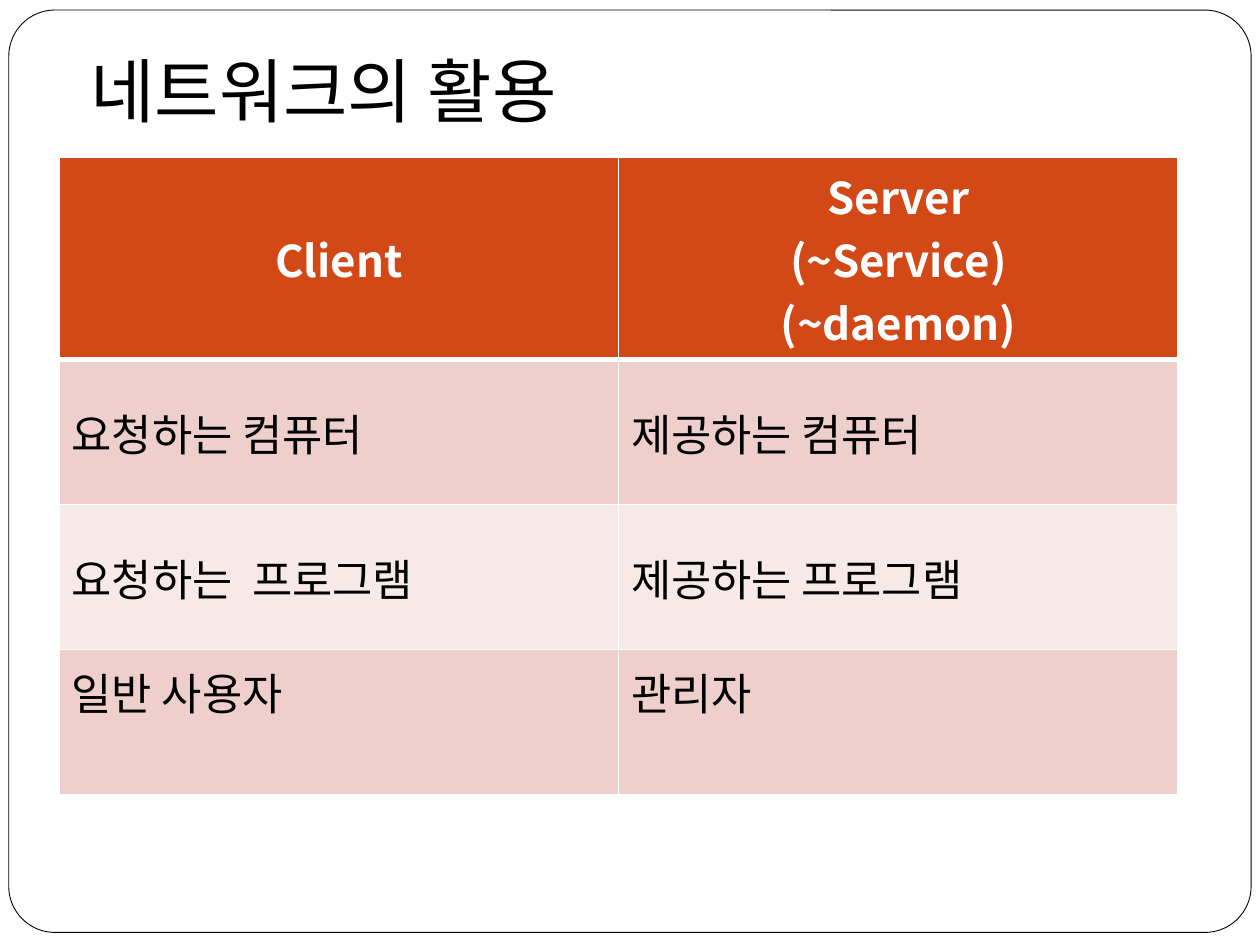
"""Build a slide that compares client and server in a table."""
import lxml.etree
import pptx
import pptx.dml.color
import pptx.enum.shapes
import pptx.enum.text
import pptx.oxml.ns
import pptx.util

Inches = pptx.util.Inches
Pt = pptx.util.Pt
qn = pptx.oxml.ns.qn
Align = pptx.enum.text.PP_ALIGN
Anchor = pptx.enum.text.MSO_ANCHOR

THEME = {
    "font": "Noto Sans CJK KR",
    "title_size": 40,
    "cell_size": 25,
    "white": "FFFFFF",
    "black": "000000",
    "header": "D34817",
    "bands": ["EFCFCC", "F7E9E8"],
}
ROWS = [
    ["Client", "Server\n(~Service)\n(~daemon)"],
    ["요청하는 컴퓨터", "제공하는 컴퓨터"],
    ["요청하는  프로그램", "제공하는 프로그램"],
    ["일반 사용자", "관리자"],
]


def style_text(frame, size, color, bold=False, align=Align.LEFT):
    for paragraph in frame.paragraphs:
        paragraph.alignment = align
        for run in paragraph.runs:
            run.font.name = THEME["font"]
            run.font.size = Pt(size)
            run.font.bold = bold
            run.font.color.rgb = pptx.dml.color.RGBColor.from_string(color)
            east_asian = lxml.etree.SubElement(run.font._element, qn("a:ea"))
            east_asian.set("typeface", THEME["font"])


def set_borders(cell, widths):
    properties = cell._tc.get_or_add_tcPr()
    for position, (side, width) in enumerate(widths.items()):
        border = lxml.etree.Element(qn(f"a:{side}"), w=str(Pt(width)))
        solid = lxml.etree.SubElement(border, qn("a:solidFill"))
        lxml.etree.SubElement(solid, qn("a:srgbClr"), val=THEME["white"])
        properties.insert(position, border)


presentation = pptx.Presentation()
presentation.slide_width = Inches(10)
presentation.slide_height = Inches(7.5)
slide = presentation.slides.add_slide(presentation.slide_layouts[6])

page_frame = slide.shapes.add_shape(
    pptx.enum.shapes.MSO_SHAPE.ROUNDED_RECTANGLE,
    Inches(0.07), Inches(0.08), Inches(9.86), Inches(7.32),
)
page_frame.adjustments[0] = 0.05
page_frame.shadow.inherit = False
page_frame.fill.solid()
page_frame.fill.fore_color.rgb = pptx.dml.color.RGBColor.from_string(THEME["white"])
page_frame.line.color.rgb = pptx.dml.color.RGBColor.from_string(THEME["black"])
page_frame.line.width = Pt(0.5)

comparison = slide.shapes.add_table(
    len(ROWS), len(ROWS[0]), Inches(0.47), Inches(1.25), Inches(8.88), Inches(4.6)
).table
for row_index, texts in enumerate(ROWS):
    is_header = row_index == 0
    above = 3 if row_index == 1 else 1
    below = 3 if is_header else 1
    fill = THEME["header"] if is_header else THEME["bands"][(row_index - 1) % 2]
    for column_index, text in enumerate(texts):
        cell = comparison.cell(row_index, column_index)
        cell.text_frame.text = text
        cell.vertical_anchor = Anchor.MIDDLE
        cell.fill.solid()
        cell.fill.fore_color.rgb = pptx.dml.color.RGBColor.from_string(fill)
        set_borders(cell, {"lnL": 1, "lnR": 1, "lnT": above, "lnB": below})
        style_text(
            cell.text_frame,
            THEME["cell_size"],
            THEME["white"] if is_header else THEME["black"],
            bold=is_header,
            align=Align.CENTER if is_header else Align.LEFT,
        )
for user_cell in comparison.rows[len(ROWS) - 1].cells:
    user_cell.vertical_anchor = Anchor.TOP
    user_cell.margin_top = Inches(0.08)

title = slide.shapes.add_textbox(
    Inches(0.62), Inches(0.23), Inches(8.88), Inches(0.86)
).text_frame
title.word_wrap = True
title.vertical_anchor = Anchor.BOTTOM
title.text = "네트워크의 활용"
style_text(title, THEME["title_size"], THEME["black"])

presentation.save("out.pptx")
